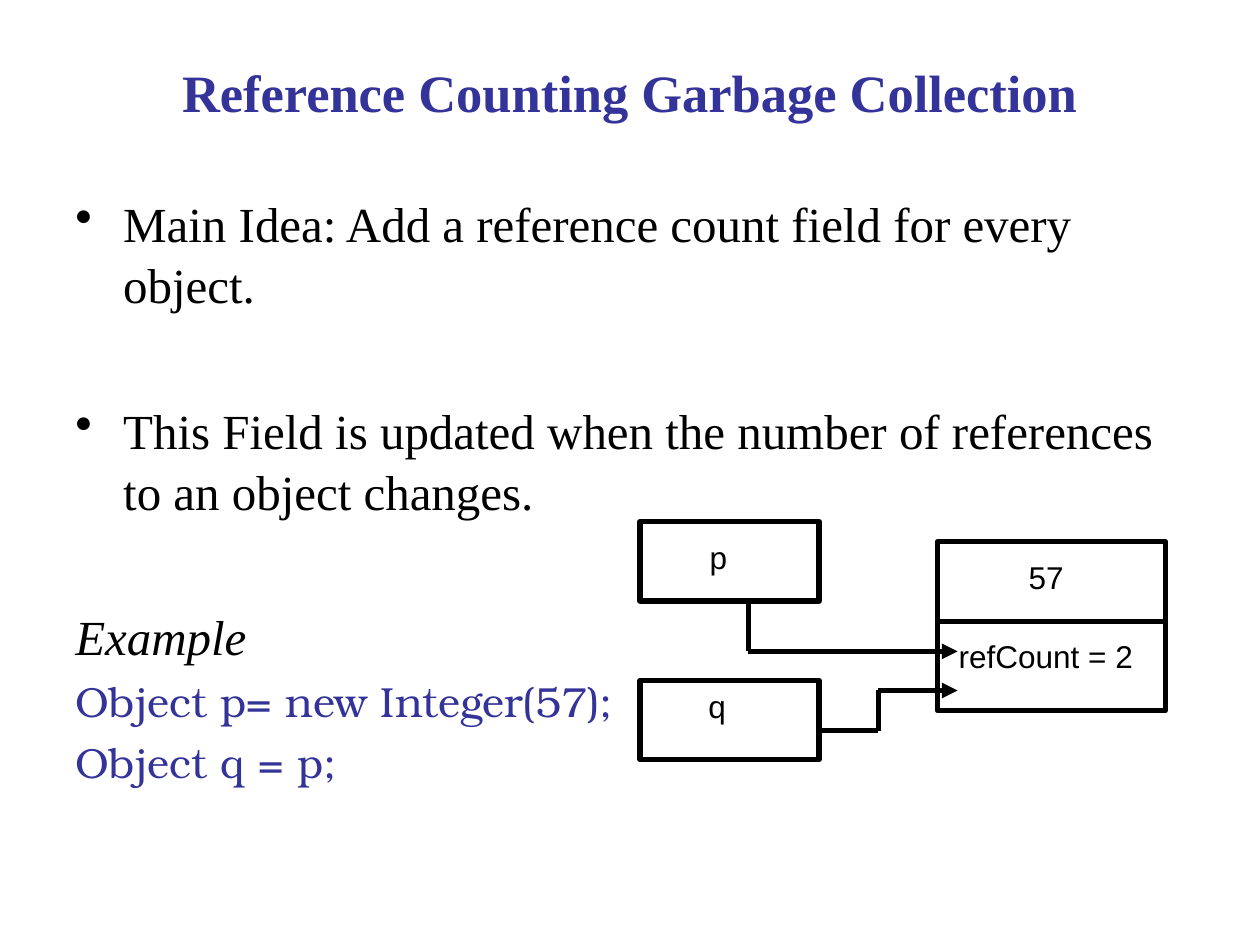
"""Build the slide on reference counting garbage collection."""
from itertools import pairwise

from lxml.etree import SubElement
from pptx import Presentation
from pptx.dml.color import RGBColor
from pptx.enum.shapes import MSO_CONNECTOR, MSO_SHAPE
from pptx.enum.text import MSO_ANCHOR, PP_ALIGN
from pptx.oxml.ns import qn
from pptx.util import Inches, Pt

BLACK, INDIGO = "000000", "333399"
HANGING = 0.38

HEADING = {"name": "Times New Roman", "size": Pt(30), "bold": True}
PROSE = {"name": "Times New Roman", "size": Pt(28)}
CODE = {"name": "TeX Gyre Bonum", "size": Pt(24)}
LABEL = {"name": "Arial", "size": Pt(18)}

TITLE = ("Reference Counting Garbage Collection", (0.5, 0.3, 9, 0.85))
BODY_AREA = (0.5, 1.47, 9, 5.23)
BODY = [
    ("Main Idea: Add a reference count field for every object.", PROSE, BLACK, True, 0, 1.04),
    ("This Field is updated when the number of references to an object changes.",
     PROSE, BLACK, True, 48, 1.04),
    ("Example", PROSE | {"italic": True}, BLACK, False, 48, 1.04),
    ("Object p= new Integer(57);", CODE, INDIGO, False, 6, 1),
    ("Object q = p;", CODE, INDIGO, False, 6, 1),
]
BOXES = [(7.44, 4.3, 1.81, 1.34), (5.08, 4.14, 1.42, 0.63), (5.08, 5.4, 1.42, 0.63)]
LABELS = [
    ("57", (6.97, 4.38, 1.57, 0.4)),
    ("refCount = 2", (7.28, 5.01, 1.81, 0.4)),
    ("p", (5, 4.22, 0.87, 0.4)),
    ("q", (4.76, 5.4, 1.1, 0.4)),
]
FIELD_DIVIDER = [(7.44, 4.93), (9.25, 4.93)]
REFERENCES = [
    [(5.94, 4.77), (5.94, 5.17), (7.6, 5.17)],
    [(6.5, 5.8), (6.97, 5.8), (6.97, 5.48), (7.6, 5.48)],
]


def color(value):
    """Turn a hex string into a colour."""
    return RGBColor.from_string(value)


def add_frame(slide, area, anchor=MSO_ANCHOR.TOP):
    """Add a wrapping text box and return its text frame."""
    frame = slide.shapes.add_textbox(*map(Inches, area)).text_frame
    frame.word_wrap = True
    frame.vertical_anchor = anchor
    return frame


def write(paragraph, text, style, ink, align=PP_ALIGN.LEFT):
    """Fill a paragraph with one styled run."""
    paragraph.alignment = align
    run = paragraph.add_run()
    run.text = text
    for attribute, value in style.items():
        setattr(run.font, attribute, value)
    run.font.color.rgb = color(ink)


def add_body(slide):
    """Add the bullets and the code example."""
    frame = add_frame(slide, BODY_AREA)
    for index, (text, style, ink, bulleted, gap, spacing) in enumerate(BODY):
        paragraph = frame.add_paragraph() if index else frame.paragraphs[0]
        paragraph.line_spacing = spacing
        if gap:
            paragraph.space_before = Pt(gap)
        properties = paragraph._p.get_or_add_pPr()
        properties.set("marL", str(Inches(HANGING)))
        properties.set("indent", str(-Inches(HANGING)))
        if bulleted:
            SubElement(properties, qn("a:buChar"), char="•")
        write(paragraph, text, style, ink)


def add_path(slide, points, arrow=False):
    """Join points with straight lines, with an optional arrowhead at the end."""
    for start, end in pairwise(points):
        segment = slide.shapes.add_connector(
            MSO_CONNECTOR.STRAIGHT, *map(Inches, start + end))
        segment.line.color.rgb = color(BLACK)
        segment.line.width = Pt(3)
        if arrow and end == points[-1]:
            SubElement(segment.line._get_or_add_ln(), qn("a:tailEnd"), type="triangle")
        SubElement(segment._element.spPr, qn("a:effectLst"))


def add_diagram(slide):
    """Add the variables, the object and the references between them."""
    for area in BOXES:
        box = slide.shapes.add_shape(MSO_SHAPE.RECTANGLE, *map(Inches, area))
        box.shadow.inherit = False
        box.fill.background()
        box.line.color.rgb = color(BLACK)
        box.line.width = Pt(3)
    add_path(slide, FIELD_DIVIDER)
    for reference in REFERENCES:
        add_path(slide, reference, arrow=True)
    for text, area in LABELS:
        write(add_frame(slide, area).paragraphs[0], text, LABEL, BLACK, PP_ALIGN.RIGHT)


def main():
    """Build and save the slide."""
    deck = Presentation()
    deck.slide_width, deck.slide_height = Inches(10), Inches(7.5)
    slide = deck.slides.add_slide(deck.slide_layouts[6])
    title, area = TITLE
    heading = add_frame(slide, area, MSO_ANCHOR.MIDDLE).paragraphs[0]
    write(heading, title, HEADING, INDIGO, PP_ALIGN.CENTER)
    add_body(slide)
    add_diagram(slide)
    deck.save("out.pptx")


if __name__ == "__main__":
    main()
